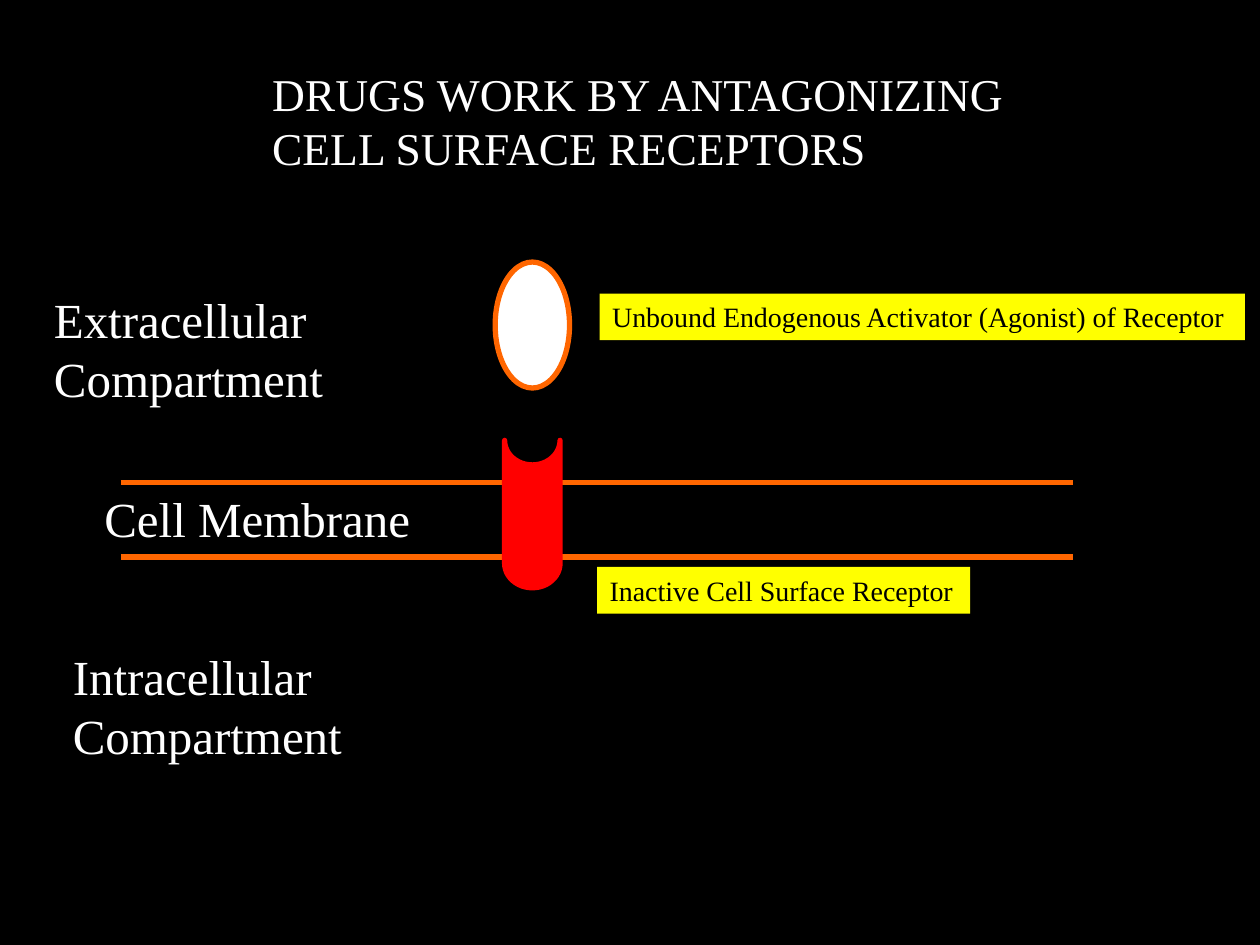
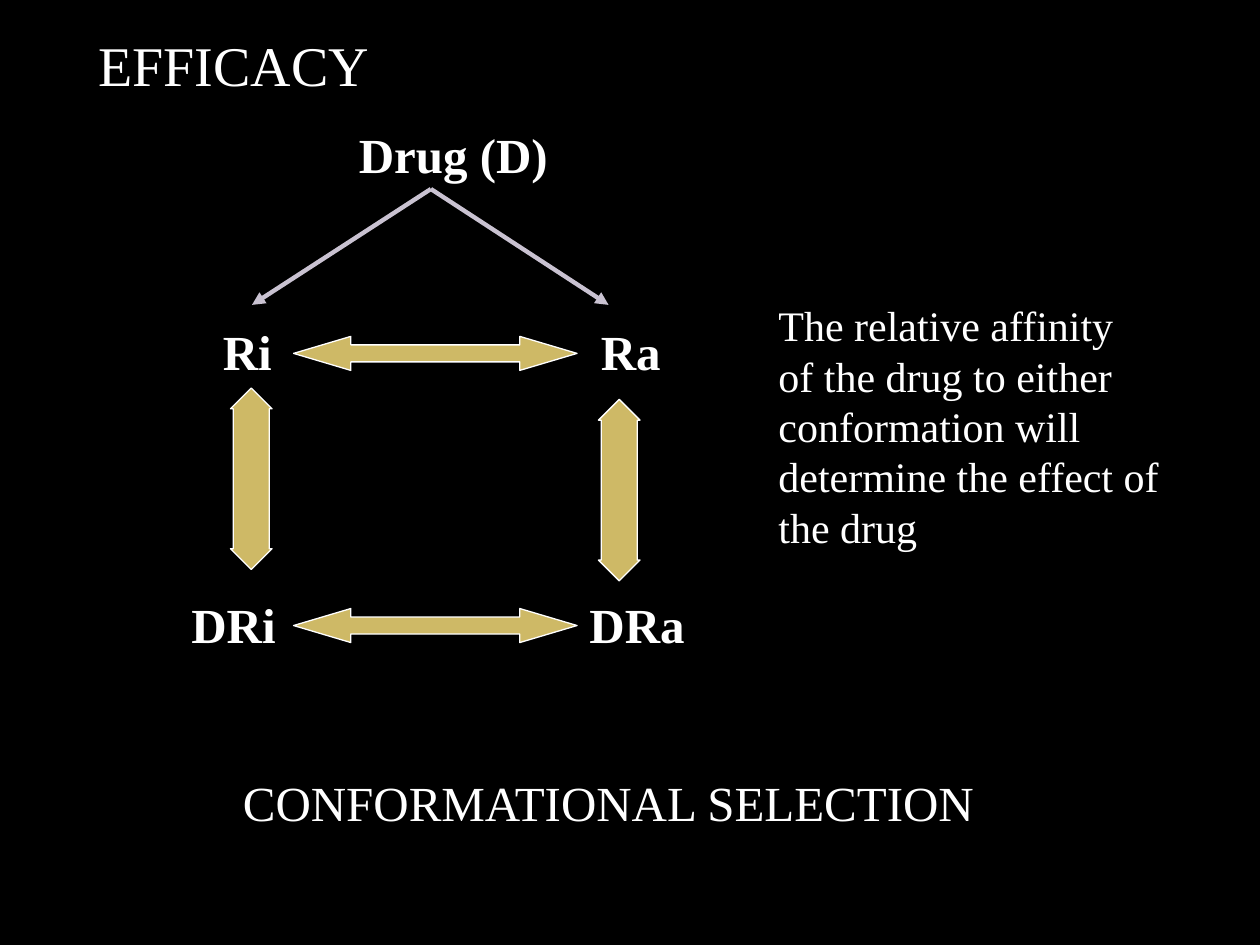
"""Build two slides on receptor antagonism and drug efficacy."""
from dataclasses import dataclass

from lxml import etree
from pptx import Presentation
from pptx.dml.color import RGBColor
from pptx.enum.shapes import MSO_CONNECTOR, MSO_SHAPE
from pptx.enum.text import MSO_ANCHOR, MSO_AUTO_SIZE, PP_ALIGN
from pptx.oxml.ns import qn
from pptx.util import Inches, Pt

STRAIGHT = MSO_CONNECTOR.STRAIGHT
RECT, OVAL = MSO_SHAPE.RECTANGLE, MSO_SHAPE.OVAL
RECEPTOR = MSO_SHAPE.FLOWCHART_STORED_DATA
ACROSS, UPRIGHT = MSO_SHAPE.LEFT_RIGHT_ARROW, MSO_SHAPE.UP_DOWN_ARROW
TOP, NO_FIT, LEFT = MSO_ANCHOR.TOP, MSO_AUTO_SIZE.NONE, PP_ALIGN.LEFT
TITLE_ONLY = 5


@dataclass(frozen=True)
class Theme:
    """Colours, font and type sizes of the deck."""
    font: str = "Times New Roman"
    back: str = "000000"
    text: str = "FFFFFF"
    tag: str = "FFFF00"
    membrane: str = "FF6600"
    receptor: str = "FF0000"
    arrow: str = "CEB966"
    pointer: str = "C9C2D1"
    tag_size: int = 16
    body_size: int = 24
    title_size: int = 26
    label_size: int = 28
    head_size: int = 32


THEME = Theme()


def rgb(code):
    """Return the colour for a hex code."""
    return RGBColor.from_string(code)


def inches(values):
    """Return a list of lengths in inches."""
    return [Inches(v) for v in values]


def write(sp, lines, size, color=THEME.text, bold=False, wrap=False):
    """Put formatted paragraphs into a shape."""
    tf = sp.text_frame
    frame = {"word_wrap": wrap, "auto_size": NO_FIT, "vertical_anchor": TOP}
    for name, value in frame.items():
        setattr(tf, name, value)
    tf.text = "\n".join(lines)
    for p in tf.paragraphs:
        p.alignment = LEFT
        r = p.runs[0]
        for name, value in {"name": THEME.font, "size": Pt(size), "bold": bold}.items():
            setattr(r.font, name, value)
        r.font.color.rgb = rgb(color)


def add_slide(prs, title, box, size):
    """Add a dark slide with its title in place."""
    s = prs.slides.add_slide(prs.slide_layouts[TITLE_ONLY])
    s.background.fill.solid()
    s.background.fill.fore_color.rgb = rgb(THEME.back)
    sp = s.shapes.title
    for name, value in zip(("left", "top", "width", "height"), inches(box)):
        setattr(sp, name, value)
    write(sp, title, size)
    return s


def add_label(s, box, lines, size=THEME.label_size, **style):
    """Add a plain text label."""
    write(s.shapes.add_textbox(*inches(box)), lines, size, **style)


def add_shape(s, kind, box, fill, line=None, width=3):
    """Add a filled preset shape, outlined if a line colour is given."""
    sp = s.shapes.add_shape(kind, *inches(box))
    sp.shadow.inherit = False
    sp.fill.solid()
    sp.fill.fore_color.rgb = rgb(fill)
    if line:
        sp.line.color.rgb = rgb(line)
        sp.line.width = Pt(width)
    else:
        sp.line.fill.background()
    return sp


def add_tag(s, box, text):
    """Add a highlighted caption."""
    write(add_shape(s, RECT, box, THEME.tag), [text], THEME.tag_size, THEME.back)


def add_line(s, start, end, color, width, arrow=False):
    """Add a straight line with an optional arrowhead at its end."""
    sp = s.shapes.add_connector(STRAIGHT, *inches(start + end))
    sp.line.color.rgb = rgb(color)
    sp.line.width = Pt(width)
    if arrow:
        ln = sp.line._get_or_add_ln()
        etree.SubElement(ln, qn("a:tailEnd"), type="triangle")
    etree.SubElement(sp._element.spPr, qn("a:effectLst"))


def add_double_arrow(s, kind, box, head):
    """Add a two-way block arrow with the given head length ratio."""
    sp = add_shape(s, kind, box, THEME.arrow, THEME.text, 0.75)
    sp.adjustments[0], sp.adjustments[1] = 0.5, head


def build_receptors(prs):
    """Build the slide on antagonizing cell surface receptors."""
    title = ["DRUGS WORK BY ANTAGONIZING", "CELL SURFACE RECEPTORS"]
    s = add_slide(prs, title, (2.06, 0.47, 7.82, 0.98), THEME.title_size)
    for y in (3.83, 4.42):
        add_line(s, (0.96, y), (8.52, y), THEME.membrane, 3)
    add_label(s, (0.73, 3.83, 2.65, 0.57), ["Cell Membrane"])
    receptor = add_shape(s, RECEPTOR, (3.64, 3.86, 1.17, 0.44),
                         THEME.receptor, THEME.receptor)
    receptor.rotation = 270
    add_shape(s, OVAL, (3.93, 2.08, 0.59, 1), THEME.text, THEME.membrane)
    add_tag(s, (4.76, 2.33, 5.12, 0.37),
            "Unbound Endogenous Activator (Agonist) of Receptor")
    add_tag(s, (4.74, 4.5, 2.96, 0.37), "Inactive Cell Surface Receptor")
    for x, y, side in ((0.33, 2.25, "Extracellular"), (0.48, 5.08, "Intracellular")):
        add_label(s, (x, y, 2.36, 1.04), [side, "Compartment"])


def build_efficacy(prs):
    """Build the slide on conformational selection."""
    s = add_slide(prs, ["EFFICACY"], (0.68, 0.19, 2.37, 0.64), THEME.head_size)
    add_label(s, (2.75, 0.94, 1.7, 0.57), ["Drug (D)"], bold=True)
    states = (("Ri", 1.67, 2.5, 0.75), ("Ra", 4.67, 2.5, 0.75),
              ("DRi", 1.42, 4.67, 0.98), ("DRa", 4.58, 4.67, 1.08))
    for state, x, y, w in states:
        add_label(s, (x, y, w, 0.57), [state], bold=True, wrap=True)
    for x, y in ((1.83, 3.08), (4.75, 3.17)):
        add_double_arrow(s, UPRIGHT, (x, y, 0.33, 1.44), 0.864)
    for y in (2.67, 4.83):
        add_double_arrow(s, ACROSS, (2.33, y, 2.25, 0.27), 1.683)
    for x in (2, 4.83):
        add_line(s, (3.42, 1.5), (x, 2.42), THEME.pointer, 2.5, arrow=True)
    add_label(s, (1.83, 6.08, 6.07, 0.57), ["CONFORMATIONAL SELECTION"])
    add_label(s, (6.08, 2.33, 3.35, 2.12),
              ["The relative affinity",
               "of the drug to either conformation will determine the effect of the drug"],
              THEME.body_size, wrap=True)


def main():
    """Build and save the deck."""
    prs = Presentation()
    prs.slide_width, prs.slide_height = inches((10, 7.5))
    build_receptors(prs)
    build_efficacy(prs)
    prs.save("out.pptx")


if __name__ == "__main__":
    main()
